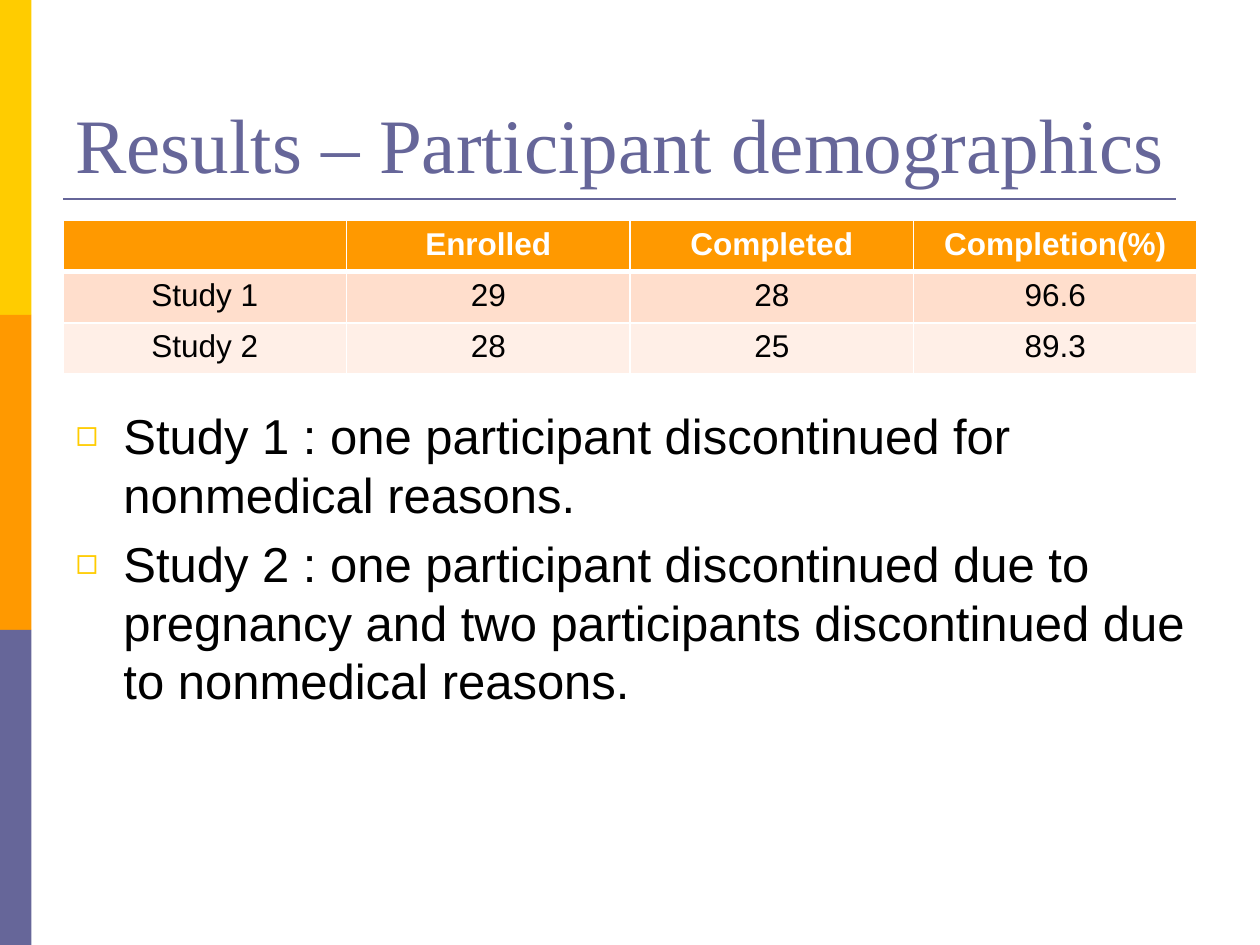
from lxml import etree
from pptx import Presentation
from pptx import util as u
from pptx.dml.color import RGBColor
from pptx.enum import shapes, text
from pptx.oxml import ns

YELLOW, ORANGE, VIOLET = "FFCC00", "FF9900", "666699"
WHITE, BLACK = "FFFFFF", "000000"
ROW_FILLS = [ORANGE, "FFDECC", "FFEFE7"]
RESULTS = [
    ["", "Enrolled", "Completed", "Completion(%)"],
    ["Study 1", "29", "28", "96.6"],
    ["Study 2", "28", "25", "89.3"],
]
NOTES = [
    "Study 1 : one participant discontinued for nonmedical reasons.",
    "Study 2 : one participant discontinued due to pregnancy and two "
    "participants discontinued due to nonmedical reasons.",
]


def paint(color_format, color):
    color_format.rgb = RGBColor.from_string(color)


def fill_with(item, color):
    item.fill.solid()
    paint(item.fill.fore_color, color)


def add_child(parent, tag, **attributes):
    return etree.SubElement(parent, ns.qn(tag), attributes)


def place(box, left, top, width, height):
    box.left, box.top = u.Inches(left), u.Inches(top)
    box.width, box.height = u.Inches(width), u.Inches(height)


def write(para, words, size=18, font="Arial", color=BLACK, bold=False,
          align=text.PP_ALIGN.LEFT):
    para.alignment = align
    span = para.add_run()
    span.text = words
    span.font.size = u.Pt(size)
    span.font.name = font
    span.font.bold = bold
    paint(span.font.color, color)


def add_band(page, top, color):
    band = page.shapes.add_shape(shapes.MSO_SHAPE.RECTANGLE, 0, u.Inches(top),
                                 u.Inches(0.25), u.Inches(2.5))
    band.shadow.inherit = False
    fill_with(band, color)
    band.line.fill.background()


def add_rule(page):
    rule = page.shapes.add_connector(
        shapes.MSO_CONNECTOR.STRAIGHT, u.Inches(0.5), u.Inches(1.58),
        u.Inches(9.33), u.Inches(1.58))
    rule.line.width = u.Pt(1.5)
    paint(rule.line.color, VIOLET)
    add_child(rule.element.spPr, "a:effectLst")


def set_borders(cell, top, bottom):
    properties = cell._tc.get_or_add_tcPr()
    widths = {"a:lnL": 1, "a:lnR": 1, "a:lnT": top, "a:lnB": bottom}
    for position, (tag, width) in enumerate(widths.items()):
        line = etree.Element(ns.qn(tag), w=str(u.Pt(width)))
        add_child(add_child(line, "a:solidFill"), "a:srgbClr", val=WHITE)
        properties.insert(position, line)


def add_results(page):
    frame = page.shapes.add_table(
        len(RESULTS), len(RESULTS[0]), u.Inches(0.5), u.Inches(1.75),
        u.Inches(9), u.Inches(1.22))
    table = frame.table
    for i, values in enumerate(RESULTS):
        header = i == 0
        for j, value in enumerate(values):
            cell = table.cell(i, j)
            fill_with(cell, ROW_FILLS[i])
            set_borders(cell, top=3 if i == 1 else 1, bottom=3 if header else 1)
            if value:
                write(cell.text_frame.paragraphs[0], value, bold=header,
                      color=WHITE if header else BLACK,
                      align=text.PP_ALIGN.CENTER)


def add_bullet(para):
    properties = para._p.get_or_add_pPr()
    indent = u.Inches(0.38)
    properties.set("marL", str(indent))
    properties.set("indent", str(-indent))
    add_child(add_child(properties, "a:buClr"), "a:srgbClr", val=YELLOW)
    add_child(properties, "a:buSzPct", val="75000")
    add_child(properties, "a:buFont", typeface="Arial")
    add_child(properties, "a:buChar", char="\u25fb")


def fill_title(box):
    place(box, 0.5, 0.3, 9, 1.25)
    frame = box.text_frame
    frame.auto_size = text.MSO_AUTO_SIZE.NONE
    frame.vertical_anchor = text.MSO_ANCHOR.BOTTOM
    write(frame.paragraphs[0], "Results – Participant demographics",
          size=44, font="Times New Roman", color=VIOLET)


def fill_notes(box):
    place(box, 0.5, 3.17, 9, 3.54)
    frame = box.text_frame
    frame.auto_size = text.MSO_AUTO_SIZE.NONE
    for i, note in enumerate(NOTES):
        para = frame.add_paragraph() if i else frame.paragraphs[0]
        para.space_before = u.Pt(5.6)
        add_bullet(para)
        write(para, note, size=28)


def main():
    deck = Presentation()
    deck.slide_width, deck.slide_height = u.Inches(10), u.Inches(7.5)
    page = deck.slides.add_slide(deck.slide_layouts[1])
    fill_with(page.background, WHITE)

    # Side bands and title rule
    for i, color in enumerate([YELLOW, ORANGE, VIOLET]):
        add_band(page, 2.5 * i, color)
    add_rule(page)

    # Title, table and notes
    fill_title(page.shapes.title)
    add_results(page)
    fill_notes(page.placeholders[1])

    deck.save("out.pptx")


main()
